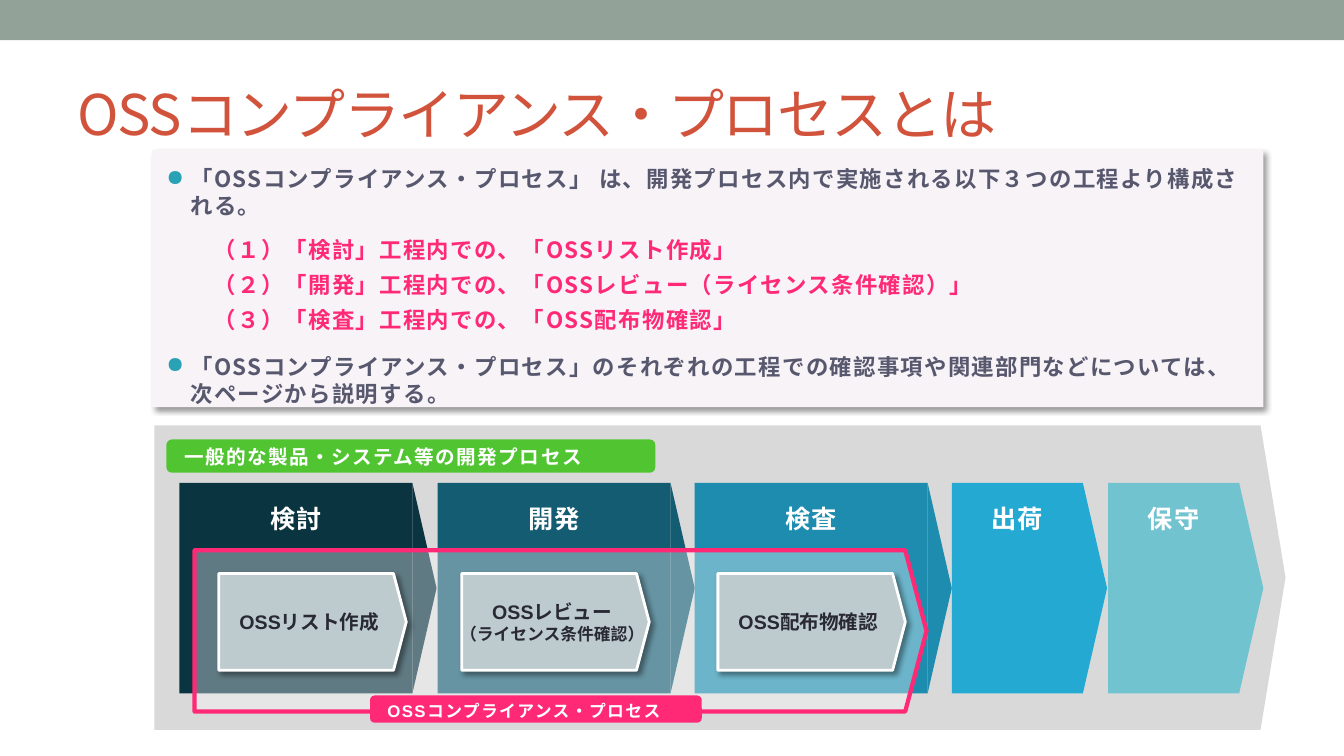
from dataclasses import dataclass

from lxml import etree
from pptx import Presentation
from pptx import util as u
from pptx.dml.color import RGBColor
from pptx.enum import shapes as sh
from pptx.enum import text as tx
from pptx.oxml.ns import qn

GOTHIC = "Noto Sans CJK JP"
PINK, GRAY, SLATE, WHITE = "FF2975", "D9D9D9", "57576E", "FFFFFF"
RECT, PENTAGON, ROUNDED, TRIANGLE = (
    sh.MSO_SHAPE.RECTANGLE, sh.MSO_SHAPE.PENTAGON,
    sh.MSO_SHAPE.ROUNDED_RECTANGLE, sh.MSO_SHAPE.ISOSCELES_TRIANGLE)
PHASE_TOP, PHASE_HEIGHT, TIP_WIDTH = 4.79, 2.09, 0.24


@dataclass
class Phase:
    name: str
    left: float
    width: float
    color: str


@dataclass
class Task:
    lines: tuple[str, ...]
    left: float


@dataclass
class Point:
    wording: str
    color: str
    space_before: float
    bulleted: bool


PHASES = [
    Phase("検討", 1.78, 2.31, "0B3441"),
    Phase("開発", 4.34, 2.31, "145C72"),
    Phase("検査", 6.89, 2.31, "1E8CAE"),
    Phase("出荷", 9.44, 1.3, "24A9D2"),
    Phase("保守", 10.99, 1.3, "72C3D0"),
]
TASKS = [
    Task(("OSSリスト作成",), 2.17),
    Task(("OSSレビュー", "（ライセンス条件確認）"), 4.58),
    Task(("OSS配布物確認",), 7.12),
]
POINTS = [
    Point("「OSSコンプライアンス・プロセス」 は、開発プロセス内で実施される以下３つの工程より構成される。",
          SLATE, 6, True),
    Point("（１）「検討」工程内での、「OSSリスト作成」", PINK, 12, False),
    Point("（２）「開発」工程内での、「OSSレビュー（ライセンス条件確認）」", PINK, 6, False),
    Point("（３）「検査」工程内での、「OSS配布物確認」", PINK, 6, False),
    Point("「OSSコンプライアンス・プロセス」のそれぞれの工程での確認事項や関連部門などについては、次ページから説明する。",
          SLATE, 14, True),
]


def rgb(color: str) -> RGBColor:
    return RGBColor.from_string(color)


def style(paragraph, size: float, color: str, font: str = "Arial",
          bold: bool = True, spacing: int = 0) -> None:
    for run in paragraph.runs:
        run.font.size = u.Pt(size)
        run.font.bold = bold
        run.font.name = font
        run.font.color.rgb = rgb(color)
        properties = run._r.get_or_add_rPr()
        properties.set("spc", str(spacing * 100))
        east_asian = etree.Element(qn("a:ea"), typeface=GOTHIC)
        properties.find(qn("a:latin")).addnext(east_asian)


def set_frame(frame, insets: tuple[float, float, float, float],
              anchor=tx.MSO_ANCHOR.TOP, wrap: bool = True) -> None:
    frame.word_wrap = wrap
    frame.vertical_anchor = anchor
    frame.margin_left, frame.margin_top, frame.margin_right, frame.margin_bottom = map(u.Inches, insets)


def add_block(slide, kind, left: float, top: float, width: float, height: float,
              fill: str, line: str = "", line_width: float = 0, tip: float | None = None):
    block = slide.shapes.add_shape(kind, *map(u.Inches, (left, top, width, height)))
    block.shadow.inherit = False
    block.fill.solid()
    block.fill.fore_color.rgb = rgb(fill)
    if line:
        block.line.color.rgb = rgb(line)
        block.line.width = u.Pt(line_width)
    else:
        block.line.fill.background()
    if tip is not None:
        block.adjustments[0] = tip
    return block


def add_alpha(color_element, percent: int) -> None:
    etree.SubElement(color_element, qn("a:alpha"), val=str(percent * 1000))


def cast_shadow(block) -> None:
    effects = block._element.spPr.find(qn("a:effectLst"))
    shadow = etree.SubElement(effects, qn("a:outerShdw"), blurRad=str(u.Pt(4)), dist=str(u.Pt(3)),
                              dir=str(45 * 60000), algn="tl", rotWithShape="0")
    add_alpha(etree.SubElement(shadow, qn("a:srgbClr"), val="000000"), 40)


def add_bullet(paragraph) -> None:
    properties = paragraph._p.get_or_add_pPr()
    color = etree.SubElement(properties, qn("a:buClr"))
    etree.SubElement(color, qn("a:srgbClr"), val="29A2B5")
    etree.SubElement(properties, qn("a:buChar"), char="●")


def add_title(slide) -> None:
    title = slide.shapes.add_textbox(*map(u.Inches, (0.67, 0.58, 12, 1.08)))
    set_frame(title.text_frame, (0.1, 0.05, 0.1, 0.05), tx.MSO_ANCHOR.MIDDLE)
    title.text_frame.text = "OSSコンプライアンス・プロセスとは"
    style(title.text_frame.paragraphs[0], 40, "D2533C", GOTHIC, False, -1)


def add_summary(slide) -> None:
    cast_shadow(add_block(slide, RECT, 1.51, 1.49, 11.02, 2.55, "F7F3F7"))
    summary = slide.shapes.add_textbox(*map(u.Inches, (1.57, 1.64, 11.01, 0.68)))
    frame = summary.text_frame
    set_frame(frame, (0.08, 0, 0.16, 0))
    frame.text = "\n".join(point.wording for point in POINTS)
    for paragraph, point in zip(frame.paragraphs, POINTS):
        paragraph.space_before = u.Pt(point.space_before)
        properties = paragraph._p.get_or_add_pPr()
        properties.set("marL", str(u.Inches(0.24 if point.bulleted else 0.47)))
        properties.set("indent", str(u.Inches(-0.24 if point.bulleted else 0)))
        if point.bulleted:
            add_bullet(paragraph)
        style(paragraph, 16, point.color, GOTHIC, spacing=1)


def add_label(slide, wording: str, left: float, top: float, width: float, height: float,
              fill: str, size: float, bottom: float) -> None:
    label = add_block(slide, ROUNDED, left, top, width, height, fill)
    set_frame(label.text_frame, (0.16, 0.04, 0.16, bottom), tx.MSO_ANCHOR.MIDDLE)
    label.text_frame.text = wording
    paragraph = label.text_frame.paragraphs[0]
    paragraph.alignment = tx.PP_ALIGN.LEFT
    style(paragraph, size, WHITE, spacing=1)


def add_phase(slide, phase: Phase) -> None:
    body = add_block(slide, RECT, phase.left, PHASE_TOP, phase.width, PHASE_HEIGHT, phase.color)
    set_frame(body.text_frame, (0, 0.2, 0, 0))
    body.text_frame.text = phase.name
    heading = body.text_frame.paragraphs[0]
    heading.alignment = tx.PP_ALIGN.CENTER
    style(heading, 18, WHITE, spacing=1)
    tip_center = phase.left + phase.width + TIP_WIDTH / 2
    tip = add_block(slide, TRIANGLE, tip_center - PHASE_HEIGHT / 2,
                    PHASE_TOP + (PHASE_HEIGHT - TIP_WIDTH) / 2, PHASE_HEIGHT, TIP_WIDTH, phase.color)
    tip.rotation = 90


def add_task(slide, task: Task) -> None:
    arrow = add_block(slide, PENTAGON, task.left, 5.69, 1.86, 0.96, "BDCBCE", WHITE, 2, 0.132)
    cast_shadow(arrow)
    set_frame(arrow.text_frame, (0.1, 0.05, 0.1, 0.05), tx.MSO_ANCHOR.MIDDLE, False)
    arrow.text_frame.text = "\n".join(task.lines)
    for paragraph, size in zip(arrow.text_frame.paragraphs, (14, 12)):
        paragraph.alignment = tx.PP_ALIGN.CENTER
        style(paragraph, size, "292934")


def main() -> None:
    deck = Presentation()
    deck.slide_width, deck.slide_height = u.Inches(13.33), u.Inches(7.5)
    slide = deck.slides.add_slide(deck.slide_layouts[6])
    add_block(slide, RECT, 0, 0, 13.33, 0.4, "93A299")
    add_title(slide)
    add_summary(slide)
    add_block(slide, PENTAGON, 1.53, 4.22, 11.22, 3.02, GRAY, tip=0.082)
    add_label(slide, "一般的な製品・システム等の開発プロセス", 1.65, 4.36, 4.85, 0.33, "51C531", 14, 0.02)
    for phase in PHASES:
        add_phase(slide, phase)
    scope = add_block(slide, PENTAGON, 1.93, 5.46, 7.26, 1.6, WHITE, PINK, 3, 0.132)
    add_alpha(scope._element.spPr.find(qn("a:solidFill"))[0], 35)
    add_label(slide, "OSSコンプライアンス・プロセス", 3.67, 6.9, 3.29, 0.27, PINK, 12, 0)
    for task in TASKS:
        add_task(slide, task)
    deck.save("out.pptx")


if __name__ == "__main__":
    main()
